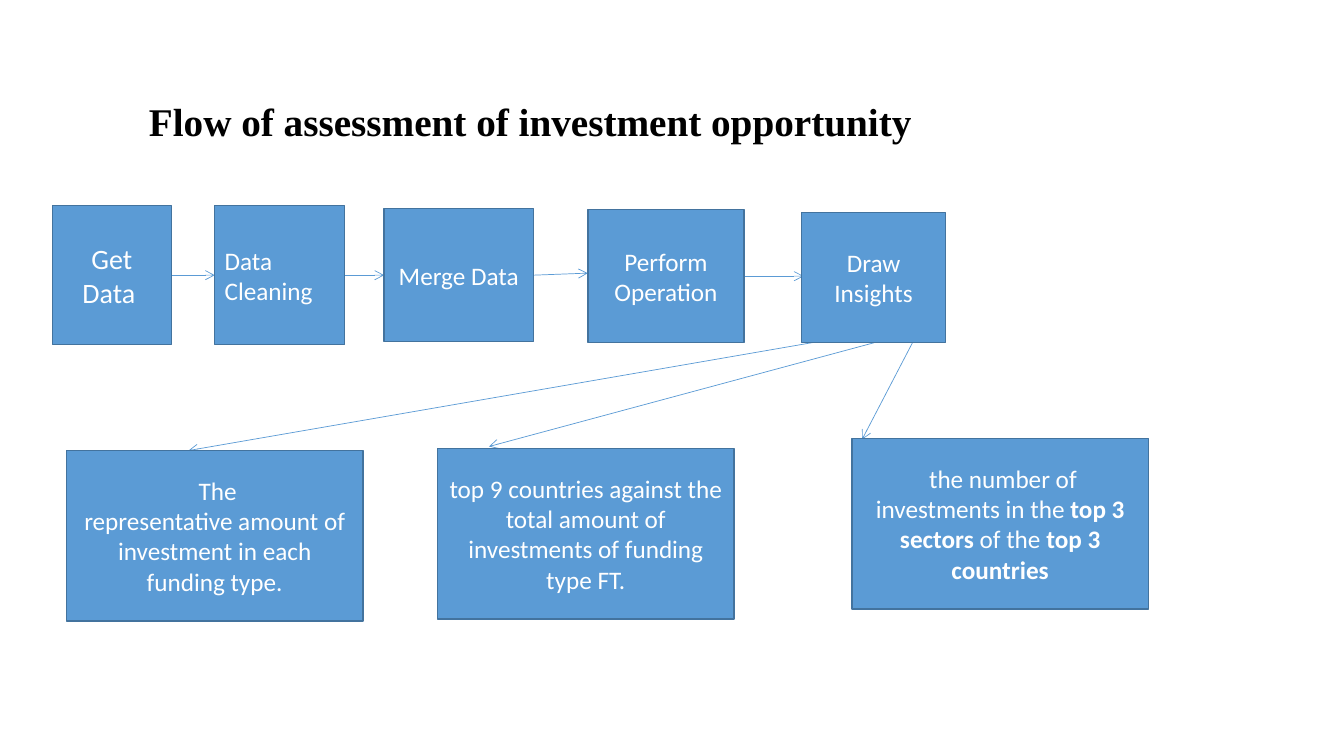
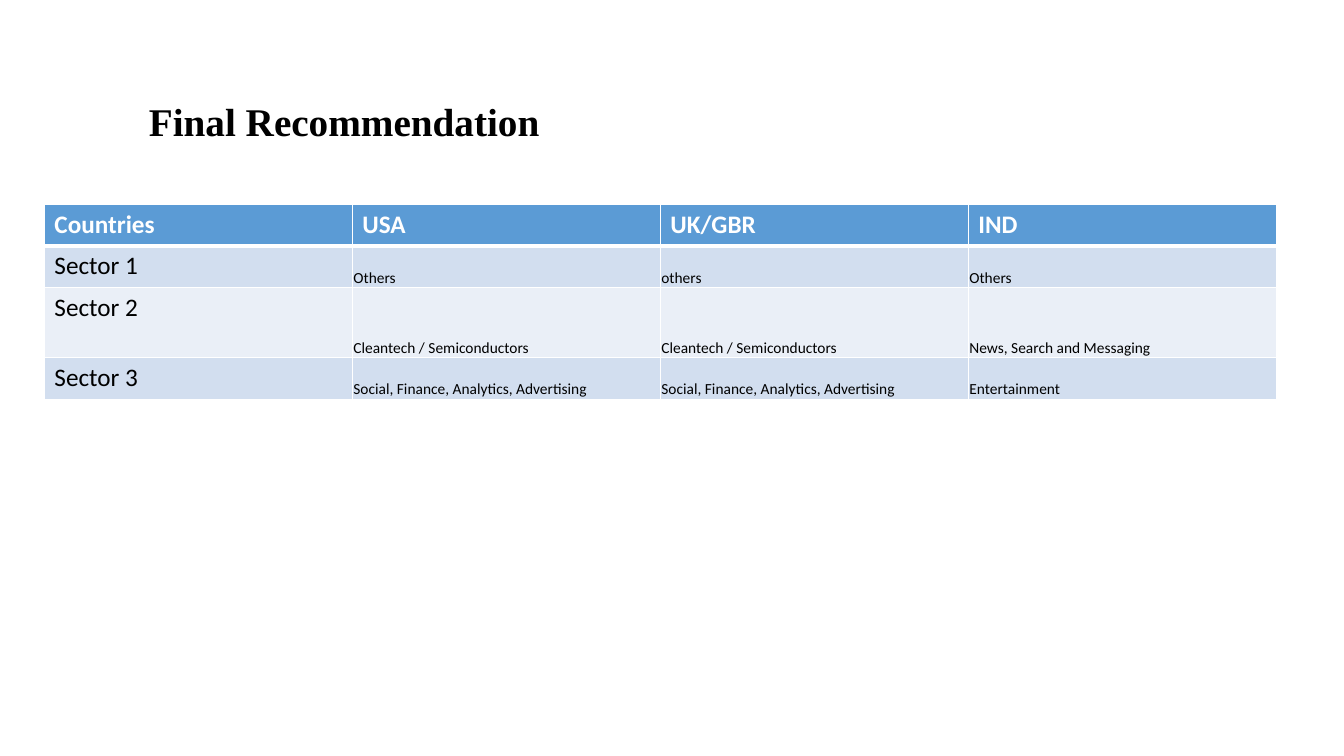
import pptx
import pptx.util
import pptx.dml.color
import pptx.enum.shapes
import pptx.enum.text
import pptx.oxml
import pptx.oxml.ns
import lxml.etree

Inches = pptx.util.Inches
Pt = pptx.util.Pt
ANCHOR = pptx.enum.text.MSO_ANCHOR
ALIGN = pptx.enum.text.PP_ALIGN
qn = pptx.oxml.ns.qn

COLORS = {
    "title": "000000",
    "box": "5B9BD5",
    "outline": "43739E",
    "light": "FFFFFF",
    "dark": "000000",
    "odd_row": "D2DEEF",
    "even_row": "EAEFF7",
}


def rgb(name):
    """Return the named colour of the deck."""
    return pptx.dml.color.RGBColor.from_string(COLORS[name])


def add_run(paragraph, text, size, color, bold=False, font="Calibri"):
    """Append one formatted run to a paragraph."""
    run = paragraph.add_run()
    run.text = text
    run.font.size = Pt(size)
    run.font.name = font
    run.font.bold = bold
    run.font.color.rgb = rgb(color)


deck = pptx.Presentation()
deck.slide_width, deck.slide_height = Inches(13.33), Inches(7.5)

# Slides with their shared title style
slides = []
for heading in ["Flow of assessment of investment opportunity", "Final Recommendation"]:
    slide = deck.slides.add_slide(deck.slide_layouts[6])
    title = slide.shapes.add_textbox(Inches(1.24), Inches(0.7), Inches(10.19), Inches(0.94))
    title.text_frame.word_wrap = True
    title.text_frame.vertical_anchor = ANCHOR.MIDDLE
    line = title.text_frame.paragraphs[0]
    line.line_spacing = 0.9
    add_run(line, " ", 40, "title", True, "Times New Roman")
    add_run(line, heading, 28, "title", True, "Times New Roman")
    slides.append(slide)
flow, recommendation = slides

# Flow: process steps, then the three insights
INSIGHT_WIDTH, INSIGHT_HEIGHT = 2.94, 1.69
boxes = [
    # left, top, width, height, text size, alignment, (text, bold) runs
    (0.52, 2.04, 1.18, 1.38, 20, ALIGN.CENTER, [("Get Data ", False)]),
    (2.13, 2.04, 1.29, 1.38, 18, ALIGN.LEFT, [("Data Cleaning\u00a0", False)]),
    (3.81, 2.07, 1.48, 1.32, 18, ALIGN.CENTER, [("Merge Data", False)]),
    (5.83, 2.08, 1.55, 1.32, 18, ALIGN.CENTER, [("Perform Operation", False)]),
    (7.95, 2.11, 1.43, 1.29, 18, ALIGN.CENTER, [("Draw Insights", False)]),
    (0.66, 4.47, INSIGHT_WIDTH, INSIGHT_HEIGHT, 18, ALIGN.CENTER,
     [("\u00a0The representative\u00a0amount of investment\u00a0in each funding type.", False)]),
    (4.34, 4.45, INSIGHT_WIDTH, INSIGHT_HEIGHT, 18, ALIGN.CENTER,
     [("top 9 countries against\u00a0the total amount of investments "
       "of\u00a0funding type\u00a0FT.", False)]),
    (8.45, 4.35, INSIGHT_WIDTH, INSIGHT_HEIGHT, 18, ALIGN.CENTER,
     [("\u00a0the number of investments in the\u00a0", False), ("top 3 sectors", True),
      ("\u00a0of the\u00a0", False), ("top 3 countries", True)]),
]
arrows = [
    # from x, from y, to x, to y
    (1.7, 2.73, 2.13, 2.73),
    (3.42, 2.73, 3.81, 2.73),
    (5.29, 2.73, 5.83, 2.71),
    (7.37, 2.74, 7.97, 2.74),
    (8.4, 3.34, 1.87, 4.47),
    (8.67, 3.4, 4.85, 4.43),
    (9.05, 3.4, 8.55, 4.36),
]

# Arrows lie behind the boxes, so their ends tuck under the edges
for ends in arrows:
    arrow = flow.shapes.add_connector(
        pptx.enum.shapes.MSO_CONNECTOR.STRAIGHT, *[Inches(value) for value in ends])
    arrow.line.color.rgb = rgb("box")
    arrow.line.width = Pt(0.5)
    head = lxml.etree.SubElement(arrow.line._get_or_add_ln(), qn("a:tailEnd"))
    head.set("type", "arrow")
    lxml.etree.SubElement(arrow._element.spPr, qn("a:effectLst"))

for left, top, width, height, size, alignment, runs in boxes:
    box = flow.shapes.add_shape(
        pptx.enum.shapes.MSO_SHAPE.RECTANGLE,
        Inches(left), Inches(top), Inches(width), Inches(height))
    box.shadow.inherit = False
    box.fill.solid()
    box.fill.fore_color.rgb = rgb("box")
    box.line.color.rgb = rgb("outline")
    box.line.width = Pt(1)
    box.text_frame.word_wrap = True
    box.text_frame.vertical_anchor = ANCHOR.MIDDLE
    label = box.text_frame.paragraphs[0]
    label.alignment = alignment
    for text, bold in runs:
        add_run(label, text, size, "light", bold)

# Recommendation: sectors by country
sectors = [
    ["Countries", "USA", "UK/GBR", "IND"],
    ["Sector 1", "Others", "others", "Others"],
    ["Sector 2", "Cleantech / Semiconductors ", "Cleantech / Semiconductors ",
     "News, Search and Messaging "],
    ["Sector 3", "Social, Finance, Analytics, Advertising",
     "Social, Finance, Analytics, Advertising", "Entertainment"],
]
row_heights = [0.41, 0.41, 0.7, 0.41]
table = recommendation.shapes.add_table(
    len(sectors), len(sectors[0]), Inches(0.44), Inches(2.03),
    Inches(12.22), Inches(sum(row_heights))).table

for r, row in enumerate(sectors):
    table.rows[r].height = Inches(row_heights[r])
    fill = "box" if r == 0 else "odd_row" if r % 2 else "even_row"
    for c, text in enumerate(row):
        cell = table.cell(r, c)
        is_detail = r > 0 and c > 0
        if is_detail:
            cell.vertical_anchor = ANCHOR.BOTTOM
            cell.margin_left = cell.margin_right = cell.margin_top = Inches(0.01)
            cell.margin_bottom = 0
        add_run(cell.text_frame.paragraphs[0], text, 11 if is_detail else 18,
                "dark" if r else "light", r == 0)
        properties = cell._tc.get_or_add_tcPr()
        for side in "LRTB":
            under_header = (r, side) in [(0, "B"), (1, "T")]
            border = lxml.etree.SubElement(properties, qn("a:ln" + side))
            border.set("w", str(Pt(3 if under_header else 1)))
            paint = lxml.etree.SubElement(border, qn("a:solidFill"))
            lxml.etree.SubElement(paint, qn("a:srgbClr")).set("val", COLORS["light"])
        cell.fill.solid()
        cell.fill.fore_color.rgb = rgb(fill)

deck.save("out.pptx")
